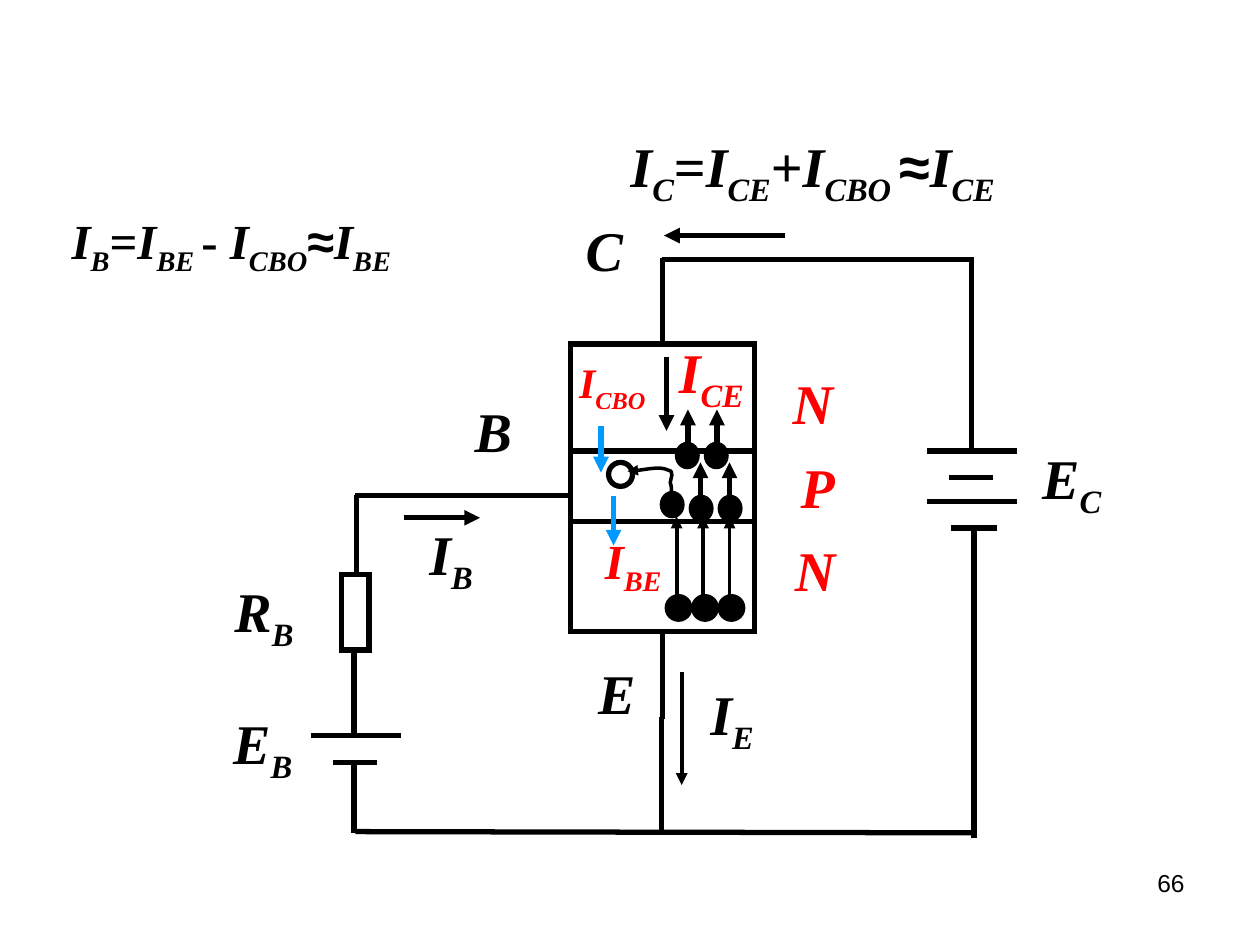
from lxml import etree
from pptx import Presentation
from pptx import util as u
from pptx.dml.color import RGBColor
from pptx.enum import shapes, text
from pptx.oxml import ns


class Theme:
    black = RGBColor(0, 0, 0)
    red = RGBColor(255, 0, 0)
    blue = RGBColor(0, 153, 255)
    serif = "Times New Roman"
    sans = "Arial"
    big, mid, small, page = 32, 28, 24, 14
    thick, thin, fine = 3, 2.25, 2


def style(shape, color, width, head=False):
    shape.line.color.rgb = color
    shape.line.width = u.Pt(width)
    stroke = shape.line._get_or_add_ln()
    etree.SubElement(stroke, ns.qn("a:miter")).set("lim", "800000")
    if head:
        etree.SubElement(stroke, ns.qn("a:tailEnd")).set("type", "triangle")
    if not shape._element.spPr.findall(ns.qn("a:effectLst")):
        etree.SubElement(shape._element.spPr, ns.qn("a:effectLst"))


def label(box, words, size=Theme.big, color=Theme.black, wrap=False, align="CENTER"):
    frame = slide.shapes.add_textbox(*map(u.Inches, box)).text_frame
    frame.word_wrap = wrap
    frame.margin_left = frame.margin_right = u.Inches(0.1 if wrap else 0.05)
    frame.auto_size = text.MSO_AUTO_SIZE.SHAPE_TO_FIT_TEXT
    frame.vertical_anchor = text.MSO_ANCHOR.MIDDLE
    line = frame.paragraphs[0]
    line.alignment = text.PP_ALIGN[align]
    for part in words.split("|"):
        run = line.add_run()
        run.text = part.lstrip("_")
        font = run.font
        font.name = Theme.sans if part == "≈" or part.isdigit() else Theme.serif
        font.size = u.Pt(size)
        font.color.rgb = color
        font.bold = not part.isdigit()
        font.italic = run.text[0].isalpha()
        if part.startswith("_"):
            font._element.set("baseline", "-25000")


deck = Presentation()
deck.slide_width, deck.slide_height = u.Inches(10), u.Inches(7.5)
slide = deck.slides.add_slide(deck.slide_layouts[6])

rect, oval = shapes.MSO_SHAPE.RECTANGLE, shapes.MSO_SHAPE.OVAL
forms = [
    (rect, 4.53, 4.14, 1.46, 0.87, Theme.thick, False),
    (rect, 4.53, 2.73, 1.46, 0.85, Theme.thick, False),
    (rect, 4.53, 3.58, 1.46, 0.56, Theme.thick, False),
    (rect, 2.71, 4.56, 0.22, 0.6, Theme.thick, False),
    (oval, 4.83, 3.67, 0.19, 0.19, Theme.thick, False),
]
forms += [(oval, 5.29 + 0.21 * i, 4.73, 0.19, 0.19, Theme.thin, True) for i in range(3)]
forms += [(oval, 5.25 + 0.23 * i, 3.94 if i else 3.91, 0.17, 0.19, Theme.fine, True) for i in range(3)]
forms += [(oval, 5.37 + 0.23 * i, 3.52, 0.17, 0.19, Theme.fine, True) for i in range(2)]
for kind, x, y, w, h, width, full in forms:
    form = slide.shapes.add_shape(kind, *map(u.Inches, (x, y, w, h)))
    form.shadow.inherit = False
    if full:
        form.fill.solid()
        form.fill.fore_color.rgb = Theme.black
    else:
        form.fill.background()
    style(form, Theme.black, width)

wires = [
    (5.26, 5.71, 5.26, 5.03), (5.26, 2.73, 5.26, 2.05), (4.54, 3.93, 3.79, 3.93),
    (2.82, 6.6, 7.74, 6.61), (2.81, 5.16, 2.81, 5.84), (2.81, 6.05, 2.81, 6.61),
    (2.83, 4.55, 2.83, 3.93), (3.81, 3.93, 2.82, 3.93), (5.25, 2.06, 7.73, 2.06),
    (7.71, 2.9, 7.71, 3.58), (7.73, 4.18, 7.73, 4.86), (7.73, 4.83, 7.73, 6.65),
    (7.71, 2.91, 7.71, 2.07), (5.25, 5.69, 5.25, 6.61),
]
plates = [
    (2.47, 5.84, 3.18, 5.84), (2.64, 6.05, 2.99, 6.05), (7.36, 3.58, 8.07, 3.58),
    (7.53, 3.79, 7.88, 3.79), (7.36, 3.98, 8.07, 3.98), (7.55, 4.19, 7.91, 4.19),
]
flows = [(3.21, 4.11, 3.81, 4.11), (6.23, 1.87, 5.27, 1.87), (5.29, 2.83, 5.29, 3.42)]
flows += [(x + 0.23 * i, y, x + 0.23 * i, y - 0.29) for x, y in ((5.56, 3.96), (5.46, 3.54)) for i in range(2)]
slim = [(5.37 + 0.21 * i, 4.75, 5.37 + 0.21 * i, 4.1) for i in range(3)]
slim += [(5.41, 5.33, 5.41, 6.23)]
holes = [(4.77, 3.38, 4.77, 3.75), (4.87, 3.94, 4.87, 4.33)]
for group, color, width, head in [
    (wires + plates, Theme.black, Theme.thick, False),
    (flows, Theme.black, Theme.thick, True),
    (slim, Theme.black, Theme.thin, True),
    (holes, Theme.blue, Theme.thick, True),
]:
    for ends in group:
        wire = slide.shapes.add_connector(shapes.MSO_CONNECTOR.STRAIGHT, *map(u.Inches, ends))
        style(wire, color, width, head)

bends = [(5.33, 3.89), (5.33, 3.86), (5.32, 3.83), (5.32, 3.8), (5.36, 3.74),
         (5.3, 3.73), (5.24, 3.7), (5.05, 3.74), (4.98, 3.74)]
pen = slide.shapes.build_freeform(u.Inches(5.33), u.Inches(3.91))
pen.add_line_segments([(u.Inches(x), u.Inches(y)) for x, y in bends], close=False)
curve = pen.convert_to_shape()
curve.shadow.inherit = False
curve.fill.background()
style(curve, Theme.black, Theme.fine, True)
steps = list(curve._element.iter(ns.qn("a:lnTo")))
for i in range(0, len(steps), 3):
    arc = etree.Element(ns.qn("a:cubicBezTo"))
    steps[i].addprevious(arc)
    for step in steps[i:i + 3]:
        arc.append(step[0])
        step.getparent().remove(step)

label((7.17, 6.83, 2.33, 0.35), "66", Theme.page, wrap=True, align="RIGHT")
label((0.47, 1.62, 3.18, 0.63), "I|_B|=|I|_BE |- |I|_CBO|≈|I|_BE", Theme.mid, wrap=True, align="LEFT")
label((4.85, 0.99, 3.2, 0.71), "I|_C|=|I|_CE|+|I|_CBO |≈|I|_CE")
for x, y, w, words in [
    (3.31, 4.07, 0.54, "I|_B"), (5.54, 5.34, 0.54, "I|_E"), (1.75, 5.57, 0.67, "E|_B"),
    (1.76, 4.52, 0.67, "R|_B"), (8.17, 3.47, 0.67, "E|_C"),
]:
    label((x, y, w, 0.71), words)
for x, y, name in [(3.67, 3.09, "B"), (4.65, 5.17, "E"), (4.55, 1.66, "C")]:
    label((x, y, 0.49, 0.64), name)
for x, y, name in [(6.19, 2.87, "N"), (6.23, 3.54, "P"), (6.21, 4.2, "N")]:
    label((x, y, 0.52, 0.64), name, color=Theme.red, wrap=True)
label((4.5, 2.78, 0.72, 0.56), "I|_CBO", Theme.small, Theme.red)
label((5.29, 2.63, 0.71, 0.71), "I|_CE", color=Theme.red)
label((4.7, 4.16, 0.65, 0.63), "I|_BE", Theme.mid, Theme.red)

deck.save("out.pptx")
